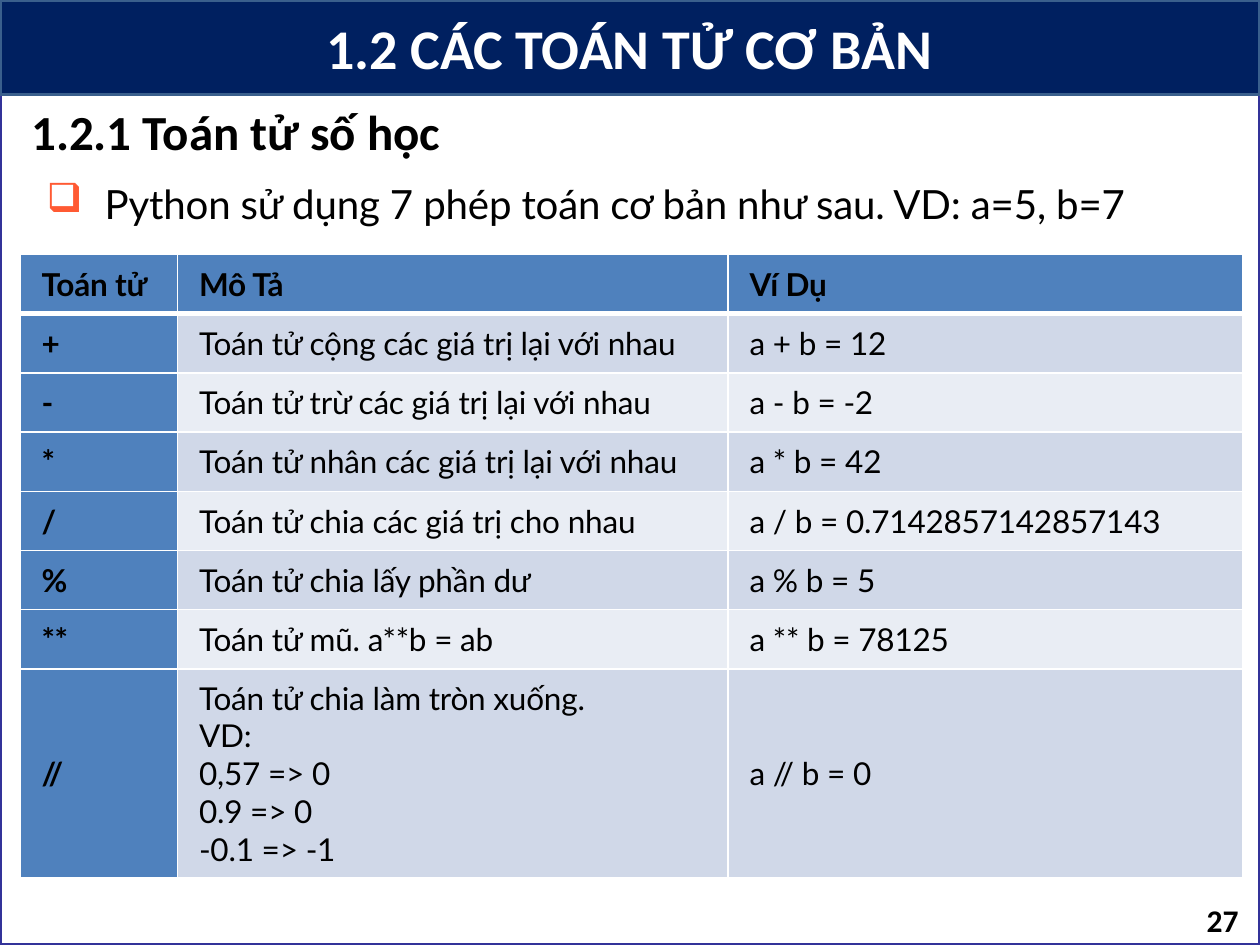
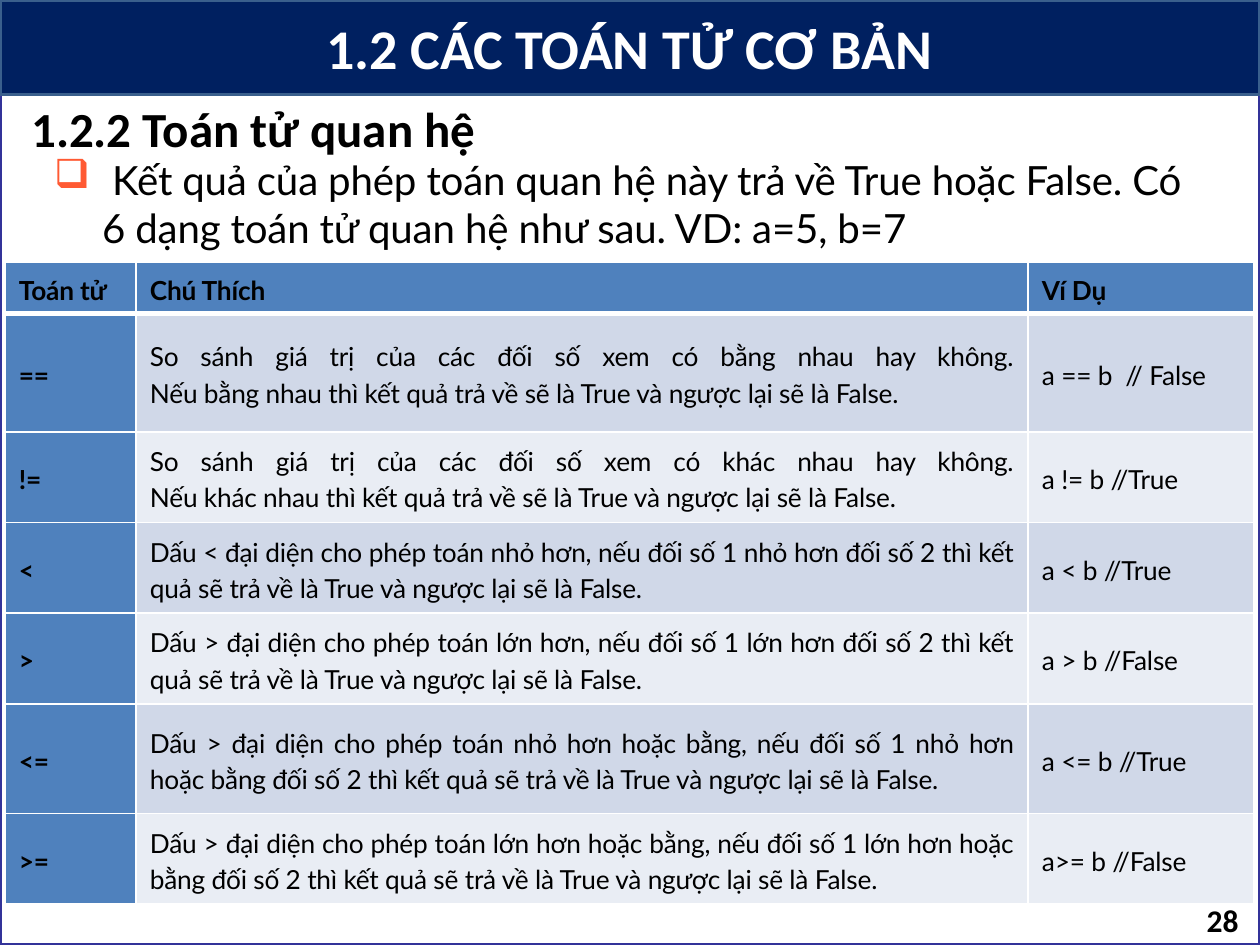
import copy
from dataclasses import dataclass

import pptx
import pptx.dml.color
import pptx.enum.shapes
import pptx.enum.text
import pptx.oxml
import pptx.oxml.ns
import pptx.util

Inches = pptx.util.Inches
Pt = pptx.util.Pt
ALIGN = pptx.enum.text.PP_ALIGN
ANCHOR = pptx.enum.text.MSO_ANCHOR
qn = pptx.oxml.ns.qn


@dataclass(frozen=True)
class Theme:
    white: str = "FFFFFF"
    black: str = "000000"
    frame: str = "333399"
    band: str = "002060"
    band_line: str = "3A5F8C"
    bullet: str = "FF5A33"
    header: str = "4F81BD"
    stripes: tuple = ("D0D8E8", "E9EDF4")
    head_font: str = "Calibri"
    body_font: str = "Lato"
    title_size: int = 32
    heading_size: int = 28
    lead_size: int = 23
    number_size: int = 18


TITLE = "1.2 CÁC TOÁN TỬ CƠ BẢN"

ARITHMETIC = [
    ("Toán tử", "Mô Tả", "Ví Dụ"),
    ("+", "Toán tử cộng các giá trị lại với nhau", "a + b = 12"),
    ("-", "Toán tử trừ các giá trị lại với nhau", "a - b = -2"),
    ("*", "Toán tử nhân các giá trị lại với nhau", "a * b = 42"),
    ("/", "Toán tử chia các giá trị cho nhau", "a / b = 0.7142857142857143"),
    ("%", "Toán tử chia lấy phần dư", "a % b = 5"),
    ("**", "Toán tử mũ. a**b = ab", "a ** b = 78125"),
    ("//", "Toán tử chia làm tròn xuống.\nVD:\n0,57 => 0\n0.9 => 0\n-0.1 => -1",
     "a // b = 0"),
]

# \v breaks a line inside a paragraph, \n starts a new paragraph.
EQUALITY = ("So sánh giá trị của các đối số xem có {0} nhau hay không.\v"
            "Nếu {0} nhau thì kết quả trả về sẽ là True và ngược lại sẽ là False.")
ORDER = ("Dấu {0} đại diện cho phép toán {1}, nếu đối số 1 {1} đối số 2 "
         "thì kết quả sẽ trả về là True và ngược lại sẽ là False.")

RELATIONAL = [
    ("Toán tử", "Chú Thích", "Ví Dụ"),
    ("==", EQUALITY.format("bằng"), "a == b  // False"),
    ("!=", EQUALITY.format("khác"), "a != b //True"),
    ("<", ORDER.format("<", "nhỏ hơn"), "a < b //True"),
    (">", ORDER.format(">", "lớn hơn"), "a > b //False"),
    ("<=", ORDER.format(">", "nhỏ hơn hoặc bằng"), "a <= b //True"),
    (">=", ORDER.format(">", "lớn hơn hoặc bằng"), "a>= b //False"),
]


def apply(target, values):
    for name, value in values.items():
        setattr(target, name, value)


def rgb(color):
    return pptx.dml.color.RGBColor.from_string(color)


def paint(fill, color):
    fill.solid()
    fill.fore_color.rgb = rgb(color)


def margins(horizontal, vertical):
    return {"margin_left": Inches(horizontal), "margin_right": Inches(horizontal),
            "margin_top": Inches(vertical), "margin_bottom": Inches(vertical)}


class Deck:
    """Holds the theme and the slide being filled."""

    def __init__(self, theme):
        self.theme = theme
        self.presentation = pptx.Presentation()
        apply(self.presentation, {"slide_width": Inches(10), "slide_height": Inches(7.5)})
        self.slide = None

    def start(self, number):
        """Add a slide with its frame, title band and page number."""
        theme = self.theme
        self.slide = self.presentation.slides.add_slide(self.presentation.slide_layouts[6])
        self.panel(7.5, theme.white, theme.frame)
        self.panel(0.75, theme.band, theme.band_line)
        flat = margins(0, 0) | {"vertical_anchor": ANCHOR.MIDDLE}
        self.text((0.08, 0.1, 9.83, 0.55), TITLE, theme.title_size, bold=True,
                  color=theme.white, frame=flat,
                  paragraph={"alignment": ALIGN.CENTER, "space_before": Pt(1)})
        self.text((7.5, 7.1, 2.33, 0.4), str(number), theme.number_size, bold=True,
                  frame=flat, paragraph={"alignment": ALIGN.RIGHT, "space_before": Pt(1)})

    def panel(self, height, color, line):
        shape = self.slide.shapes.add_shape(
            pptx.enum.shapes.MSO_SHAPE.RECTANGLE, 0, 0, Inches(10), Inches(height))
        shape.shadow.inherit = False
        paint(shape.fill, color)
        shape.line.color.rgb = rgb(line)
        shape.line.width = Pt(2)

    def text(self, box, content, size, bold=False, color=None, font=None,
             frame=None, paragraph=None, spacing=None):
        text_box = self.slide.shapes.add_textbox(*map(Inches, box)).text_frame
        apply(text_box, {"word_wrap": True} | (frame or {}))
        self.fill_text(text_box, content, size, bold, color, font, paragraph, spacing)
        return text_box

    def fill_text(self, frame, content, size, bold=False, color=None, font=None,
                  paragraph=None, spacing=None):
        for index, line in enumerate(content.split("\n")):
            target = frame.add_paragraph() if index else frame.paragraphs[0]
            target.text = line
            apply(target, paragraph or {})
            for run in target.runs:
                apply(run.font, {"size": Pt(size), "bold": bold,
                                 "name": font or self.theme.head_font})
                run.font.color.rgb = rgb(color or self.theme.black)
                if spacing:
                    run.font._element.set("spc", str(spacing))
            for line_break in target._p.findall(qn("a:br")):
                line_break.append(copy.deepcopy(target.runs[0].font._element))

    def heading(self, top, content, width):
        self.text((0.15, top, width, 0.57), content, self.theme.heading_size, bold=True,
                  frame={"word_wrap": False}, paragraph={"space_before": Pt(7.8)})

    def lead(self, box, content):
        """Add the bulleted sentence above the table."""
        frame = self.text(box, content, self.theme.lead_size, font=self.theme.body_font,
                          frame=margins(0, 0) | {"margin_top": Inches(0.11)},
                          paragraph={"space_before": Pt(7.8)}, spacing=-10)
        properties = frame.paragraphs[0]._p.get_or_add_pPr()
        properties.set("marL", str(Inches(0.39)))
        properties.set("indent", str(-Inches(0.38)))
        color = pptx.oxml.parse_xml(
            f'<a:buClr {pptx.oxml.ns.nsdecls("a")}><a:srgbClr val="{self.theme.bullet}"/></a:buClr>')
        symbol = pptx.oxml.parse_xml(f'<a:buChar {pptx.oxml.ns.nsdecls("a")} char="❑"/>')
        properties.extend([color, symbol])

    def borders(self, cell, row):
        widths = {"L": 1, "R": 1, "T": 3 if row == 1 else 1, "B": 3 if row == 0 else 1}
        for side, width in widths.items():
            cell._tc.get_or_add_tcPr().append(pptx.oxml.parse_xml(
                f'<a:ln{side} {pptx.oxml.ns.nsdecls("a")} w="{Pt(width)}"><a:solidFill>'
                f'<a:srgbClr val="{self.theme.white}"/></a:solidFill></a:ln{side}>'))

    def table(self, corner, rows, widths, heights, size, inset,
              line_spacing=None, justify=False):
        theme = self.theme
        table = self.slide.shapes.add_table(
            len(rows), len(widths), *map(Inches, (*corner, sum(widths), sum(heights)))).table
        for column, width in zip(table.columns, widths):
            column.width = Inches(width)
        for r, (row, height) in enumerate(zip(rows, heights)):
            table.rows[r].height = Inches(height)
            for c, content in enumerate(row):
                label = r == 0 or c == 0
                cell = table.cell(r, c)
                apply(cell, margins(*inset) | {"vertical_anchor": ANCHOR.MIDDLE})
                self.borders(cell, r)
                paint(cell.fill, theme.header if label else theme.stripes[(r - 1) % 2])
                paragraph = {"line_spacing": line_spacing}
                if justify and c == 1 and not label:
                    paragraph["alignment"] = ALIGN.JUSTIFY
                self.fill_text(cell.text_frame, content, size, label, font=theme.body_font,
                               paragraph=paragraph, spacing=-10)


def main():
    deck = Deck(Theme())

    deck.start(27)
    deck.lead((0.36, 1.31, 9.17, 0.5),
              " Python sử dụng 7 phép toán cơ bản như sau. VD: a=5, b=7")
    deck.table((0.16, 2.02), ARITHMETIC, (1.25, 4.37, 4.08), [0.47] * 7 + [1.65],
               size=18, inset=(0.17, 0.08))
    deck.heading(0.76, "1.2.1 Toán tử số học", 3.5)

    deck.start(28)
    deck.lead((0.42, 1.12, 9.17, 0.88),
              " Kết quả của phép toán quan hệ này trả về True hoặc False. Có 6 dạng "
              "toán tử quan hệ như sau. VD: a=5, b=7")
    deck.table((0.04, 2.08), RELATIONAL, (1.04, 7.08, 1.79),
               (0.4, 0.94, 0.72, 0.72, 0.72, 0.87, 0.72),
               size=15, inset=(0.11, 0.06), line_spacing=1.15, justify=True)
    deck.heading(0.73, "1.2.2 Toán tử quan hệ", 3.78)

    deck.presentation.save("out.pptx")


if __name__ == "__main__":
    main()
